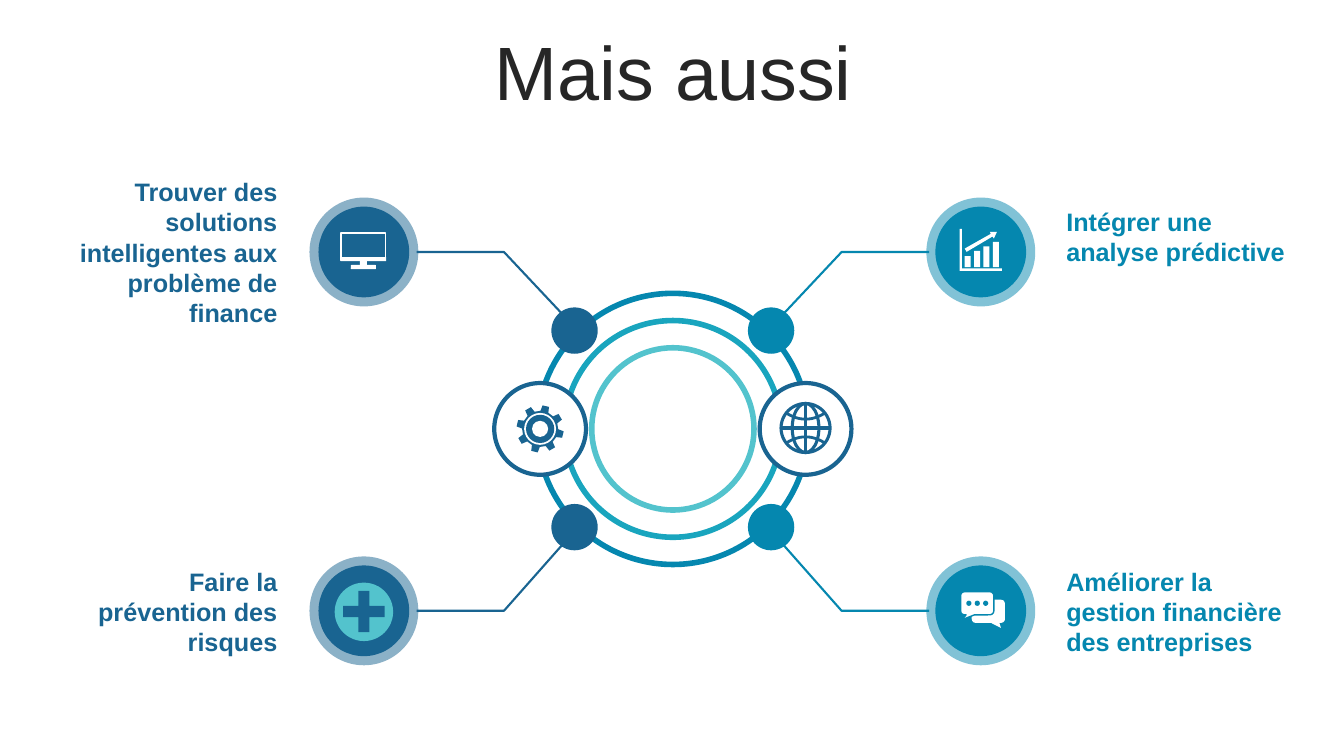
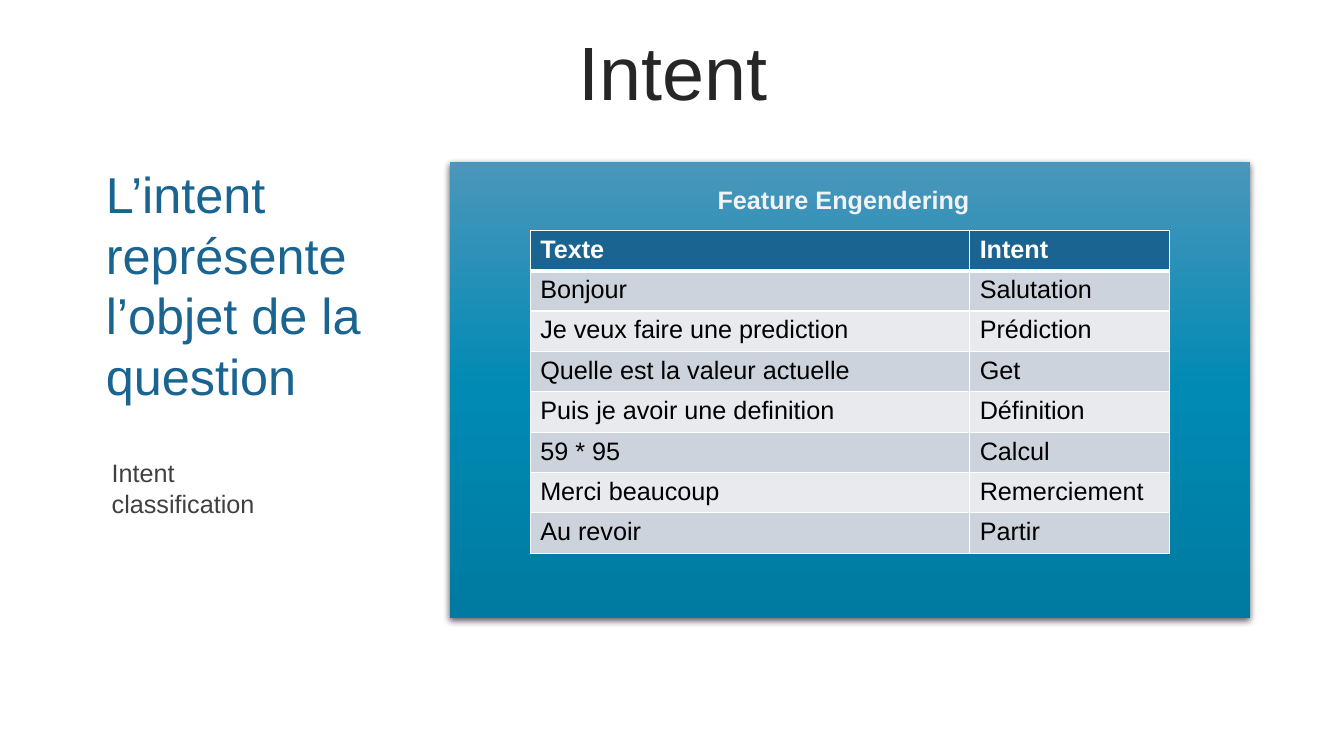
from copy import deepcopy
from math import cos, radians, sin

from lxml import etree
from pptx import Presentation
from pptx.dml.color import RGBColor
from pptx.enum.shapes import MSO_CONNECTOR, MSO_SHAPE
from pptx.enum.text import MSO_ANCHOR, MSO_AUTO_SIZE, PP_ALIGN
from pptx.oxml import parse_xml
from pptx.oxml.ns import nsdecls, qn
from pptx.util import Inches, Pt

OVAL, RECT, ROUND = MSO_SHAPE.OVAL, MSO_SHAPE.RECTANGLE, MSO_SHAPE.ROUNDED_RECTANGLE
CROSS, TALK = MSO_SHAPE.CROSS, MSO_SHAPE.ROUNDED_RECTANGULAR_CALLOUT
LEFT, MID, RIGHT = PP_ALIGN.LEFT, PP_ALIGN.CENTER, PP_ALIGN.RIGHT
TOP, CENTER = MSO_ANCHOR.TOP, MSO_ANCHOR.MIDDLE
NAVY, BLUE, TEAL, AQUA, WHITE = "196491", "0587AF", "19A5BE", "53C3CD", "FFFFFF"
rgb = RGBColor.from_string

deck = Presentation()
deck.slide_width, deck.slide_height = Inches(13.333), Inches(7.5)
CELL = deck.slide_height // 90


def draw(page, kind, spots, fill=None, line=None, pt=1.5, clear=None):
    emu = [round(n * CELL) for n in spots]
    if kind is None:
        pairs = list(zip(emu[::2], emu[1::2]))
        pen = page.shapes.build_freeform(*pairs[0])
        pen.add_line_segments(pairs[1:], close=bool(fill))
        form = pen.convert_to_shape()
    else:
        x, y, w, h = emu
        form = page.shapes.add_shape(kind, x - w // 2, y - h // 2, w, h)
    form.shadow.inherit = False
    if fill:
        form.fill.solid()
        form.fill.fore_color.rgb = rgb(fill)
    else:
        form.fill.background()
    if clear:
        tone = next(form._element.spPr.iter(qn("a:srgbClr")))
        etree.SubElement(tone, qn("a:alpha")).set("val", str(clear * 1000))
    if line:
        form.line.color.rgb = rgb(line)
        form.line.width = Pt(pt)
    else:
        form.line.fill.background()
    return form


def say(frame, text, size=18, color="000000", bold=False, align=LEFT, anchor=CENTER):
    frame.word_wrap = True
    frame.vertical_anchor = anchor
    para = frame.paragraphs[0]
    para.text = text
    para.alignment = align
    font = para.font
    font.name, font.size, font.bold = "Arial", Pt(size), bold
    font.color.rgb = rgb(color)
    return para


pages = []
for text in ("Mais aussi", "Intent"):
    page = deck.slides.add_slide(deck.slide_layouts[5])
    title = page.shapes.title
    title.left, title.top, title.width, title.height = [
        round(n * CELL) for n in (4.2, 4.32, 151.92, 9.48)]
    say(title.text_frame, text, size=54, color="262626", align=MID).line_spacing = 0.9
    title.text_frame.auto_size = MSO_AUTO_SIZE.NONE
    pages.append(page)
hub, intent = pages

HX, HY, STEP = 80.1, 51.06, 11.7
corners = [
    (-1, -1, 43.32, NAVY, "Trouver des solutions intelligentes aux problème de finance",
     (6.36, 20.28, 27.84, 19.44)),
    (1, -1, 116.76, BLUE, "Intégrer une analyse prédictive", (125.76, 23.88, 30.96, 8.52)),
    (-1, 1, 43.32, NAVY, "Faire la prévention des risques", (7.32, 66.72, 26.88, 12.12)),
    (1, 1, 116.76, BLUE, "Améliorer la gestion financière des entreprises",
     (125.76, 66.72, 28.44, 12.12)),
]
for side, down, bx, tone, text, box in corners:
    by = 51.36 + down * 21.36
    draw(hub, None, (HX + side * 11.3, HY + down * STEP, HX + side * 20.1, by,
                     HX + side * 30.5, by), line=tone)
for size, tone in ((32.28, BLUE), (25.8, TEAL), (19.32, AQUA)):
    draw(hub, OVAL, (HX, HY, size, size), line=tone, pt=4)
for side, down, bx, tone, text, box in corners:
    by = 51.36 + down * 21.36
    draw(hub, OVAL, (HX + side * STEP, HY + down * STEP, 5.52, 5.52), fill=tone)
    draw(hub, OVAL, (bx, by, 12.96, 12.96), fill=tone, clear=50)
    draw(hub, OVAL, (bx, by, 10.8, 10.8), fill=tone)
    note = hub.shapes.add_textbox(*[round(n * CELL) for n in box])
    say(note.text_frame, text, color=tone, bold=True, align=RIGHT if side < 0 else LEFT)
GEAR, GLOBE = HX - 15.8, HX + 15.8
for x in (GEAR, GLOBE):
    draw(hub, OVAL, (x, HY, 10.92, 10.92), fill=WHITE, line=NAVY, pt=3)

teeth = []
for k in range(8):
    for turn, reach in ((-13, 2.15), (-8, 2.82), (8, 2.82), (13, 2.15)):
        angle = radians(14 + 45 * k + turn)
        teeth += [GEAR + reach * sin(angle), HY - reach * cos(angle)]
draw(hub, None, teeth, fill=NAVY)
for size, tone in ((3.8, WHITE), (3.36, NAVY), (1.92, WHITE)):
    draw(hub, OVAL, (GEAR, HY, size, size), fill=tone)

for wide in (5.84, 3.18):
    draw(hub, OVAL, (GLOBE, HY - 0.1, wide, 5.84), line=NAVY, pt=2.2)
for dx, dy in ((2.92, 0), (0, 2.92)):
    ends = (GLOBE - dx, HY - 0.1 - dy, GLOBE + dx, HY - 0.1 + dy)
    wire = hub.shapes.add_connector(MSO_CONNECTOR.STRAIGHT, *[round(n * CELL) for n in ends])
    wire.line.color.rgb, wire.line.width = rgb(NAVY), Pt(2.2)
    etree.SubElement(wire._element.spPr, qn("a:effectLst"))
for sign in (-1, 1):
    arc = []
    for k in range(-6, 7):
        arc += [GLOBE + k * 0.38, HY - 0.1 + sign * (1.05 + 0.72 * (k / 6) ** 2)]
    draw(hub, None, arc, line=NAVY, pt=2)

draw(hub, RECT, (43.26, 29.4, 5.28, 3.24), line=WHITE, pt=1.3)
for kind, *box in ((RECT, 43.26, 30.84, 5.4, 0.48), (RECT, 43.26, 31.3, 0.84, 0.6),
                   (ROUND, 43.26, 31.8, 3, 0.5)):
    draw(hub, kind, box, fill=WHITE)

for k in range(4):
    tall = (1.32, 1.92, 2.46, 3)[k]
    draw(hub, RECT, (115.2 + k * 1.12, 31.8 - tall / 2, 0.72, tall), fill=WHITE)
draw(hub, None, (114.24, 27.24, 114.5, 27.24, 114.5, 31.96, 119.28, 31.96,
                 119.28, 32.24, 114.24, 32.24), fill=WHITE)
draw(hub, None, (117.84, 27.6, 118.68, 27.6, 118.32, 28.4, 118.16, 28.16,
                 115.08, 29.98, 114.84, 29.6, 117.96, 27.84), fill=WHITE)

for x, y, lean, edge in ((117.66, 72.78, 0.38, None), (116.34, 71.82, -0.47, BLUE)):
    talk = draw(hub, TALK, (x, y, 3.96, 2.76), fill=WHITE, line=edge, pt=1)
    talk.adjustments[0], talk.adjustments[1] = lean, 0.72
for k in (-1, 0, 1):
    draw(hub, OVAL, (116.34 + k, 71.82, 0.62, 0.62), fill=BLUE)

draw(hub, OVAL, (43.32, 72.84, 6.96, 6.96), fill=AQUA)
draw(hub, CROSS, (43.32, 72.8, 4.92, 4.92), fill=NAVY).adjustments[0] = 0.365

panel = draw(intent, RECT, (101.16, 46.44, 95.28, 54.24), fill=BLUE)
panel.fill.gradient()
panel.fill.gradient_angle = 270
stops = next(panel._element.iter(qn("a:gsLst")))
stops.insert(1, deepcopy(stops[0]))
for k, tone in enumerate(("4B96BB", "008AB4", "007AA0")):
    stop = panel.fill.gradient_stops[k]
    stop.position, stop.color.rgb = k / 2, rgb(tone)
glow = panel._element.spPr.find(qn("a:effectLst"))
glow.append(parse_xml(
    f'<a:outerShdw {nsdecls("a")} blurRad="57150" dist="19050" dir="5400000" rotWithShape="0">'
    '<a:srgbClr val="000000"><a:alpha val="63000"/></a:srgbClr></a:outerShdw>'))

for text, box, look in (
    ("L’intent représente l’objet de la question", (12.12, 19.32, 40.08, 29.04),
     {"size": 36, "color": NAVY}),
    ("Intent classification", (12.12, 53.88, 27.6, 8.52), {"color": "404040", "anchor": TOP}),
    ("Feature Engendering", (84.24, 21.36, 33.84, 4.8),
     {"color": "F2F2F2", "bold": True, "anchor": TOP}),
):
    frame = intent.shapes.add_textbox(*[round(n * CELL) for n in box]).text_frame
    say(frame, text, **look)
    if "size" in look:
        frame.margin_left = frame.margin_right = Inches(0.04)
        frame.margin_top = frame.margin_bottom = 0

rows = [
    ("Texte", "Intent"),
    ("Bonjour", "Salutation"),
    ("Je veux faire une prediction", "Prédiction"),
    ("Quelle est la valeur actuelle", "Get"),
    ("Puis je avoir une definition", "Définition"),
    ("59 * 95", "Calcul"),
    ("Merci beaucoup", "Remerciement"),
    ("Au revoir", "Partir"),
]
spots = [round(n * CELL) for n in (63.12, 27.42, 76.08, 38.4)]
table = intent.shapes.add_table(len(rows), 2, *spots).table
for col, wide in zip(table.columns, (52.32, 23.76)):
    col.width = round(wide * CELL)
for r, row in enumerate(rows):
    for c, text in enumerate(row):
        cell = table.cell(r, c)
        say(cell.text_frame, text, color="000000" if r else WHITE, bold=r == 0)
        for edge in "LRTB":
            pt = 3 if (r, edge) in ((0, "B"), (1, "T")) else 1
            cell._tc.get_or_add_tcPr().append(parse_xml(
                f'<a:ln{edge} {nsdecls("a")} w="{Pt(pt)}"><a:solidFill>'
                f'<a:srgbClr val="{WHITE}"/></a:solidFill></a:ln{edge}>'))
        cell.fill.solid()
        cell.fill.fore_color.rgb = rgb(("E8EAEE", "CCD3DC")[r % 2] if r else NAVY)

deck.save("out.pptx")
